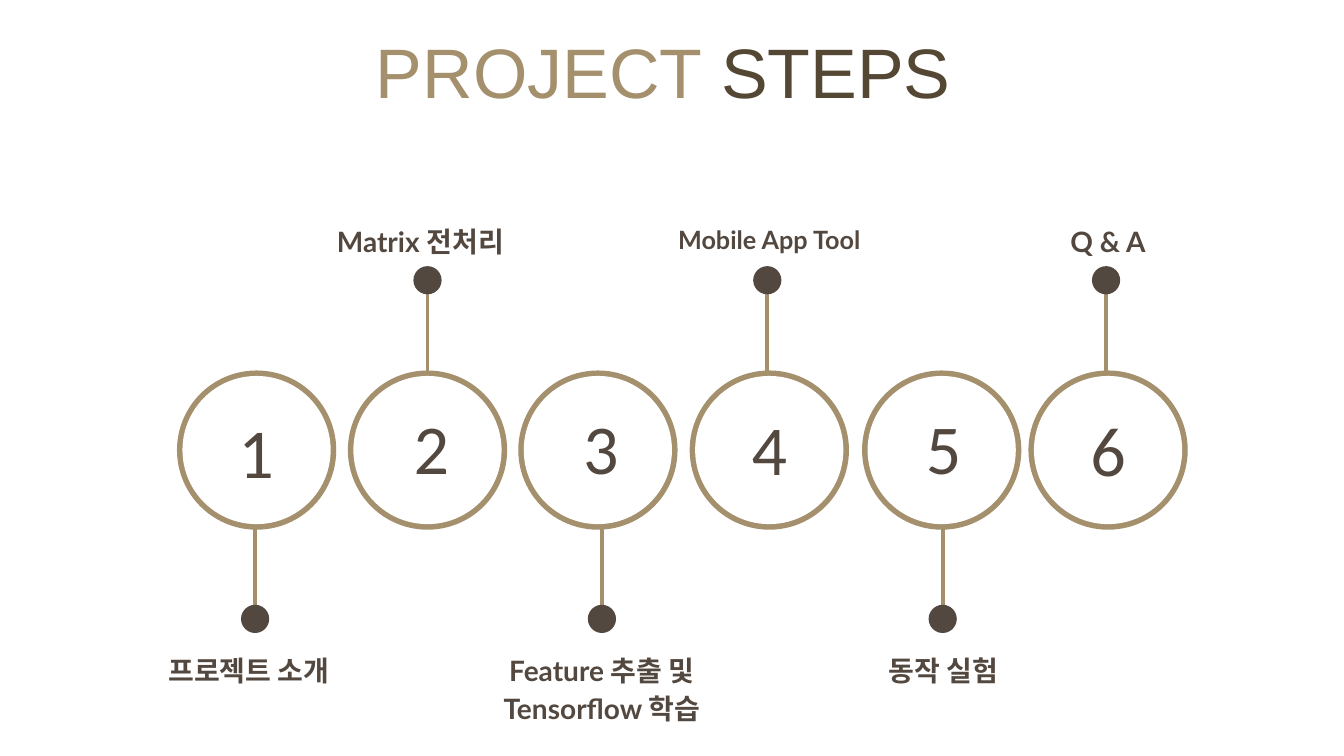
from dataclasses import dataclass

import pptx
import pptx.dml.color
import pptx.enum.shapes
import pptx.enum.text
import pptx.oxml.ns
import pptx.util
from lxml import etree

RGBColor = pptx.dml.color.RGBColor
GOLD = RGBColor(0xA4, 0x90, 0x6C)
BROWN = RGBColor(0x53, 0x48, 0x3F)
DARK_BROWN = RGBColor(0x54, 0x48, 0x34)
WHITE = RGBColor(0xFF, 0xFF, 0xFF)

CENTER = pptx.enum.text.PP_ALIGN.CENTER
LEFT = pptx.enum.text.PP_ALIGN.LEFT

# Grid of square cells, ten to the inch: columns across, rows down
CELL = 0.1
RING_ROW = 44.65
RING_SIZE = 15.8
HOLE_SIZE = 14.7
DOT_SIZE = 2.8


@dataclass
class Step:
    label: str
    ring: float  # centre columns of the parts
    stem: float
    digit: float
    caption: float
    digit_row: float
    caption_width: float = 24.2
    caption_size: int = 20


STEPS = [
    Step("프로젝트 소개", 25.45, 25.3, 25.4, 24.7, 40, 25.6),
    Step("Matrix 전처리", 42.4, 42.4, 42.8, 41.7, 39.6, 32.6),
    Step("Feature 추출 및 Tensorflow 학습", 59.3, 59.7, 59.6, 59.7, 39.6, 24.4),
    Step("Mobile App Tool", 76.3, 76.1, 76.3, 76.3, 39.7, caption_size=18),
    Step("동작 실험", 93.4, 93.5, 93.6, 93.6, 39.6),
    Step("Q & A", 109.9, 109.7, 109.9, 109.9, 39.8),
]


def cells(count):
    return pptx.util.Inches(count * CELL)


def add_disc(page, column, row, size, color):
    """Draw a filled circle around a centre."""
    disc = page.shapes.add_shape(
        pptx.enum.shapes.MSO_SHAPE.OVAL,
        cells(column - size / 2), cells(row - size / 2), cells(size), cells(size))
    disc.shadow.inherit = False
    disc.fill.solid()
    disc.fill.fore_color.rgb = color
    disc.line.fill.background()


def add_stem(page, column, top, bottom):
    """Draw a vertical line between two rows."""
    stem = page.shapes.add_connector(
        pptx.enum.shapes.MSO_CONNECTOR.STRAIGHT,
        cells(column), cells(top), cells(column), cells(bottom))
    stem.line.color.rgb = GOLD
    stem.line.width = pptx.util.Pt(2.8)
    etree.SubElement(stem._element.spPr, pptx.oxml.ns.qn("a:effectLst"))


def add_text(page, center, row, width, height, spans, font, size,
             bold=False, align=CENTER, spacing=None):
    """Write one paragraph made of (text, colour) spans."""
    box = page.shapes.add_textbox(
        cells(center - width / 2), cells(row), cells(width), cells(height))
    box.text_frame.word_wrap = True
    para = box.text_frame.paragraphs[0]
    para.alignment = align
    para.line_spacing = spacing
    para.font.name = font
    para.font.size = pptx.util.Pt(size)
    para.font.bold = bold
    for text, color in spans:
        span = para.add_run()
        span.text = text
        span.font.color.rgb = color


def add_step(page, number, step):
    """Draw a numbered ring; odd steps hang down, even steps stand up."""
    if number % 2:
        stem_top, stem_bottom, dot_row, caption_row = 51, 61.5, 61.4, 64
    else:
        stem_top, stem_bottom, dot_row, caption_row = 27.6, 38.2, 27.8, 21.4

    # Stem, ring and end dot
    add_stem(page, step.stem, stem_top, stem_bottom)
    add_disc(page, step.ring, RING_ROW, RING_SIZE, GOLD)
    add_disc(page, step.ring, RING_ROW, HOLE_SIZE, WHITE)
    add_disc(page, step.stem, dot_row, DOT_SIZE, BROWN)

    # Number and caption
    add_text(page, step.digit, step.digit_row, 5.6, 9.4,
             [(str(number), BROWN)], "Calibri", 50)
    add_text(page, step.caption, caption_row, step.caption_width, 4.1,
             [(step.label, BROWN)], "Lato", step.caption_size,
             bold=True, spacing=1.11)


def main():
    deck = pptx.Presentation()
    deck.slide_width = pptx.util.Inches(13.33)
    deck.slide_height = pptx.util.Inches(7.5)
    page = deck.slides.add_slide(deck.slide_layouts[6])

    # Title
    add_text(page, 66.3, 2.3, 60, 9.4,
             [("PROJECT ", GOLD), ("STEPS", DARK_BROWN)], "Arial", 50, align=LEFT)

    # Steps
    for number, step in enumerate(STEPS, start=1):
        add_step(page, number, step)

    deck.save("out.pptx")


if __name__ == "__main__":
    main()
